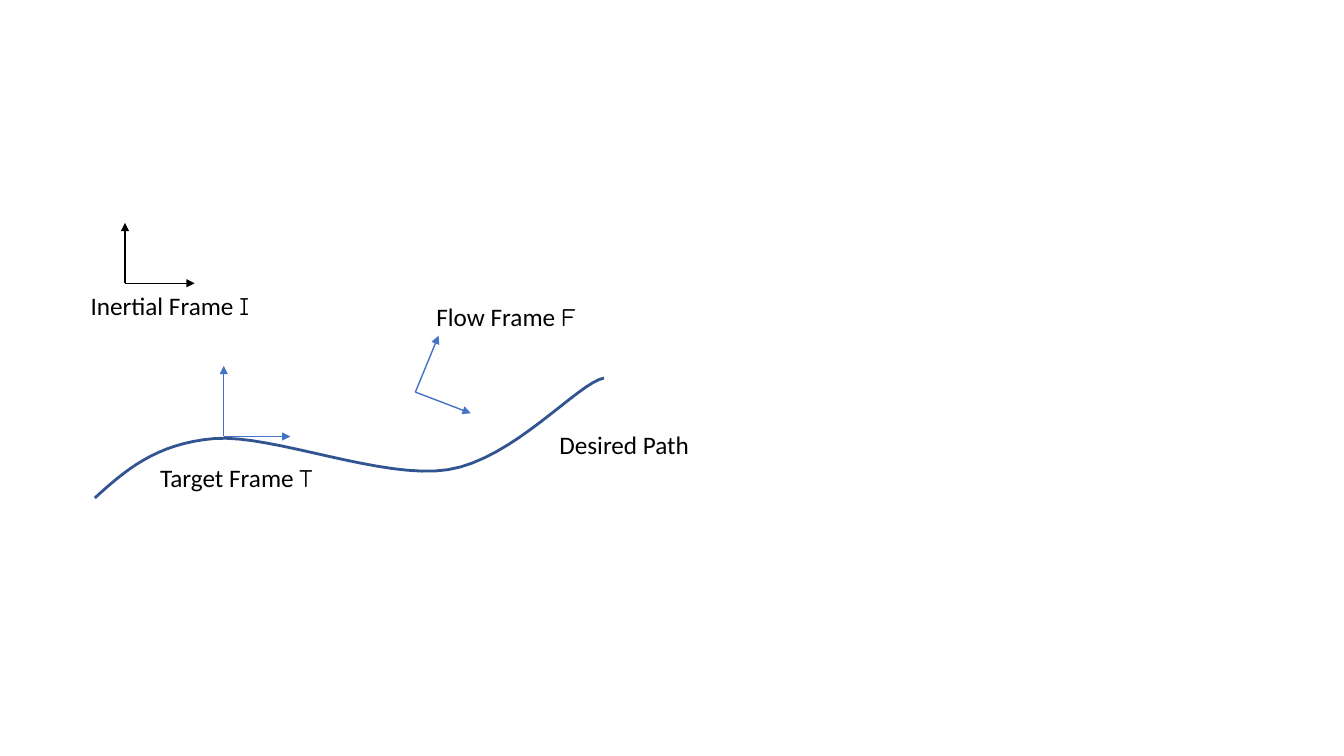
from pptx import Presentation
from pptx.dml.color import RGBColor
from pptx.enum import shapes, text
from pptx.oxml import parse_xml
from pptx.oxml.ns import nsdecls, qn
from pptx.util import Inches, Pt

BLACK = RGBColor(0x00, 0x00, 0x00)
BLUE = RGBColor(0x44, 0x72, 0xC4)
NAVY = RGBColor(0x32, 0x54, 0x91)
STEPS = 16  # points on each curve segment


def arrow(slide, start, end, color):
    line = slide.shapes.add_connector(
        shapes.MSO_CONNECTOR.STRAIGHT, *map(Inches, start + end))
    line.line.color.rgb = color
    line.line.width = Pt(1)
    line.line._get_or_add_ln().append(
        parse_xml(f'<a:tailEnd {nsdecls("a")} type="triangle"/>'))
    props = line._element.find(qn("p:spPr"))
    props.append(parse_xml(f'<a:effectLst {nsdecls("a")}/>'))


def axes(slide, left, top, tips, color):
    """Draw arrows from an origin to tips given as offsets."""
    for dx, dy in tips:
        arrow(slide, (left, top), (left + dx, top + dy), color)


def label(slide, left, top, width, words, letter="", wrap=False):
    box = slide.shapes.add_textbox(*map(Inches, (left, top, width, 0.4)))
    frame = box.text_frame
    frame.word_wrap = wrap
    frame.auto_size = text.MSO_AUTO_SIZE.SHAPE_TO_FIT_TEXT
    para = frame.paragraphs[0]
    para.font.name = "Calibri"
    para.font.size = Pt(18)
    para.font.color.rgb = BLACK
    para.add_run().text = words
    if letter:
        run = para.add_run()
        run.text = letter
        run.font.name = "Comic Neue"


def bezier(a, b, c, d):
    """Return the points after a on a cubic curve from a to d."""
    points = []
    for step in range(1, STEPS + 1):
        t = step / STEPS
        s = 1 - t
        points.append(tuple(
            s**3 * p + 3 * s * s * t * q + 3 * s * t * t * r + t**3 * v
            for p, q, r, v in zip(a, b, c, d)))
    return points


def curve(slide, left, top):
    knots = [(0, 1.19), (0.3, 0.92), (0.6, 0.65), (1.19, 0.6),
             (1.77, 0.56), (2.86, 1.01), (3.5, 0.91),
             (4.15, 0.81), (4.79, 0.05), (5.05, 0)]
    points = [knots[0]]
    for i in range(0, len(knots) - 1, 3):
        points += bezier(*knots[i:i + 4])
    spots = [(Inches(left + x), Inches(top + y)) for x, y in points]
    pen = slide.shapes.build_freeform(*spots[0])
    pen.add_line_segments(spots[1:], close=False)
    path = pen.convert_to_shape()
    path.shadow.inherit = False
    path.fill.background()
    path.line.color.rgb = NAVY
    path.line.width = Pt(2)


def diagram(slide, left, top):
    # Target frame on the path
    axes(slide, left + 1.42, top + 2.12, [(0.66, 0), (0, -0.7)], BLUE)
    label(slide, left + 0.69, top + 2.33, 1.77, "Target Frame ", "T")
    # Inertial frame
    axes(slide, left + 0.44, top + 0.6, [(0.69, 0), (0, -0.6)], BLACK)
    label(slide, left, top + 0.62, 1.9, "Inertial Frame ", "I", True)
    # Flow frame, turned
    axes(slide, left + 3.32, top + 1.68, [(0.55, 0.21), (0.23, -0.56)], BLUE)
    label(slide, left + 3.43, top + 0.73, 1.62, "Flow Frame ", "F", True)
    # Desired path
    curve(slide, left + 0.14, top + 1.54)
    label(slide, left + 4.65, top + 2, 1.5, "Desired Path")


def main():
    deck = Presentation()
    deck.slide_width = Inches(13.33)
    deck.slide_height = Inches(7.5)
    slide = deck.slides.add_slide(deck.slide_layouts[6])
    diagram(slide, 0.8, 2.21)
    deck.save("out.pptx")


if __name__ == "__main__":
    main()
